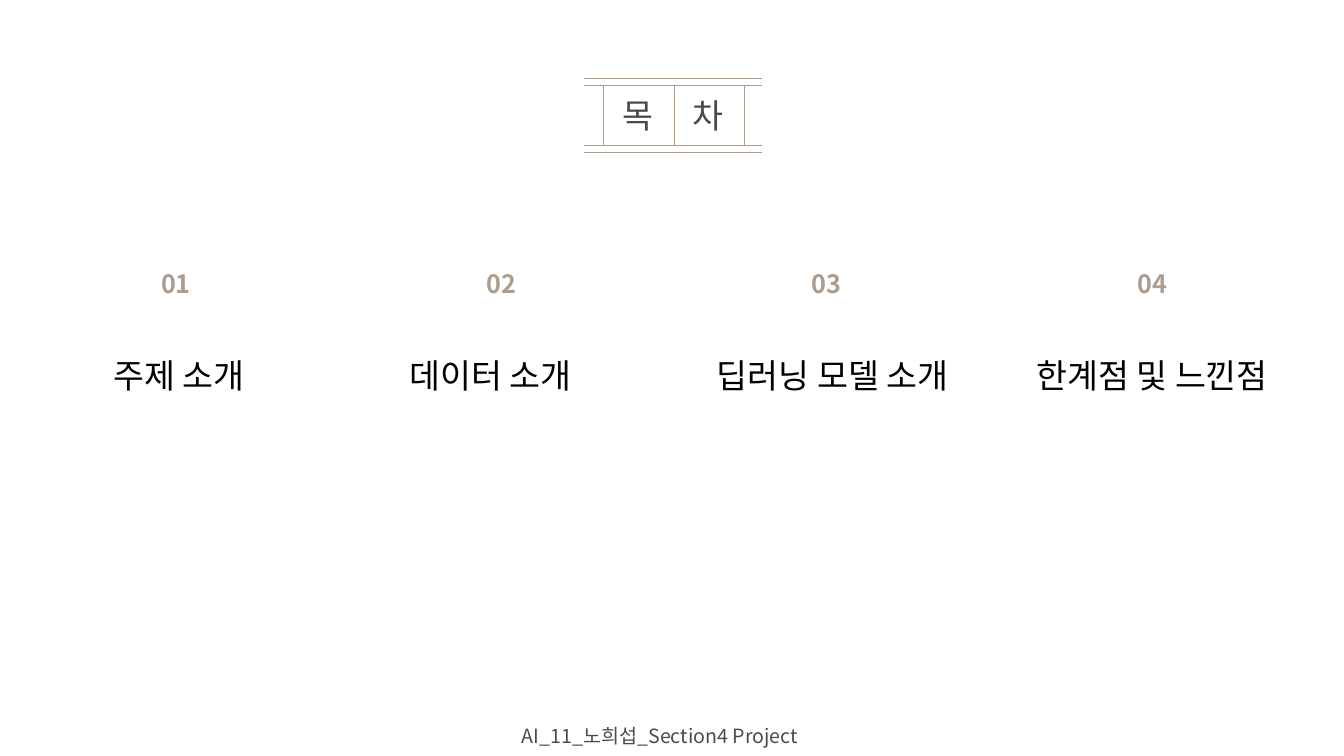
"""Build a contents slide with a framed title and four numbered topics."""
from lxml.etree import SubElement
from pptx import Presentation
from pptx.dml.color import RGBColor
from pptx.enum.shapes import MSO_CONNECTOR
from pptx.enum.text import MSO_ANCHOR, MSO_AUTO_SIZE, PP_ALIGN
from pptx.oxml.ns import qn
from pptx.util import Inches, Pt

TITLE_SYLLABLES = ("목", "차")
TOPICS = [
    ("주제 소개", 1.79, 0.03),
    ("데이터 소개", 2.42, -0.11),
    ("딥러닝 모델 소개", 2.61, 0.06),
    ("한계점 및 느낀점", 3.09, 0),
]
FOOTER = "AI_11_노희섭_Section4 Project"

FONT = "Noto Sans CJK KR"
TAUPE = RGBColor(0xAC, 0x9D, 0x8E)
BLACK = RGBColor(0, 0, 0)
SOFT_OPACITY = 71

SLIDE_WIDTH, SLIDE_HEIGHT = 13.33, 7.5
FRAME_LEFT, FRAME_RIGHT = 5.79, 7.56
RAILS = (0.78, 0.85, 1.44, 1.51)
POSTS = (5.99, 6.69, 7.38)
SYLLABLE_INSET, SYLLABLE_TOP, SYLLABLE_WIDTH = 0.08, 0.89, 0.54
FIRST_CENTER, COLUMN_PITCH = 1.745, 3.227
NUMBER_TOP, NUMBER_WIDTH, LABEL_TOP = 2.61, 1.29, 3.47


def fill_box(box, text, bounds, size, color,
             align=PP_ALIGN.CENTER, bold=False, opacity=100):
    box.left, box.top, box.width, box.height = map(Inches, bounds)
    frame = box.text_frame
    frame.text = text
    frame.word_wrap = True
    frame.auto_size = MSO_AUTO_SIZE.SHAPE_TO_FIT_TEXT
    frame.vertical_anchor = MSO_ANCHOR.TOP
    para = frame.paragraphs[0]
    para.alignment = align
    font = para.font
    font.size, font.bold, font.name = Pt(size), bold, FONT
    font.color.rgb = color
    properties = para._p.pPr.find(qn("a:defRPr"))
    SubElement(properties, qn("a:ea")).set("typeface", FONT)
    if opacity < 100:
        shade = properties.find(qn("a:solidFill"))[0]
        SubElement(shade, qn("a:alpha")).set("val", str(opacity * 1000))


def add_text(slide, text, bounds, size, color, **options):
    box = slide.shapes.add_textbox(0, 0, 0, 0)
    fill_box(box, text, bounds, size, color, **options)


def add_line(slide, *ends):
    line = slide.shapes.add_connector(MSO_CONNECTOR.STRAIGHT, *map(Inches, ends))
    line.line.color.rgb = TAUPE
    line.line.width = Pt(0.75)
    SubElement(line._element.spPr, qn("a:effectLst"))


def add_title(slide):
    for rail in RAILS:
        add_line(slide, FRAME_LEFT, rail, FRAME_RIGHT, rail)
    for post in POSTS:
        add_line(slide, post, RAILS[1], post, RAILS[2])
    boxes = (slide.shapes.title, slide.shapes.add_textbox(0, 0, 0, 0))
    for box, syllable, post in zip(boxes, TITLE_SYLLABLES, POSTS):
        bounds = (post + SYLLABLE_INSET, SYLLABLE_TOP, SYLLABLE_WIDTH, 0.5)
        fill_box(box, syllable, bounds, 24, BLACK,
                 align=PP_ALIGN.LEFT, opacity=SOFT_OPACITY)


def main():
    deck = Presentation()
    deck.slide_width, deck.slide_height = Inches(SLIDE_WIDTH), Inches(SLIDE_HEIGHT)
    slide = deck.slides.add_slide(deck.slide_layouts[5])
    add_title(slide)
    for index, (label, width, shift) in enumerate(TOPICS):
        center = FIRST_CENTER + index * COLUMN_PITCH
        number_bounds = (center - NUMBER_WIDTH / 2, NUMBER_TOP, NUMBER_WIDTH, 0.4)
        label_bounds = (center + shift - width / 2, LABEL_TOP, width, 0.5)
        add_text(slide, f"{index + 1:02}", number_bounds, 18, TAUPE, bold=True)
        add_text(slide, label, label_bounds, 24, BLACK)
    add_text(slide, FOOTER, (4.36, 7.13, 4.37, 0.34), 14, BLACK, opacity=SOFT_OPACITY)
    deck.save("out.pptx")


if __name__ == "__main__":
    main()
